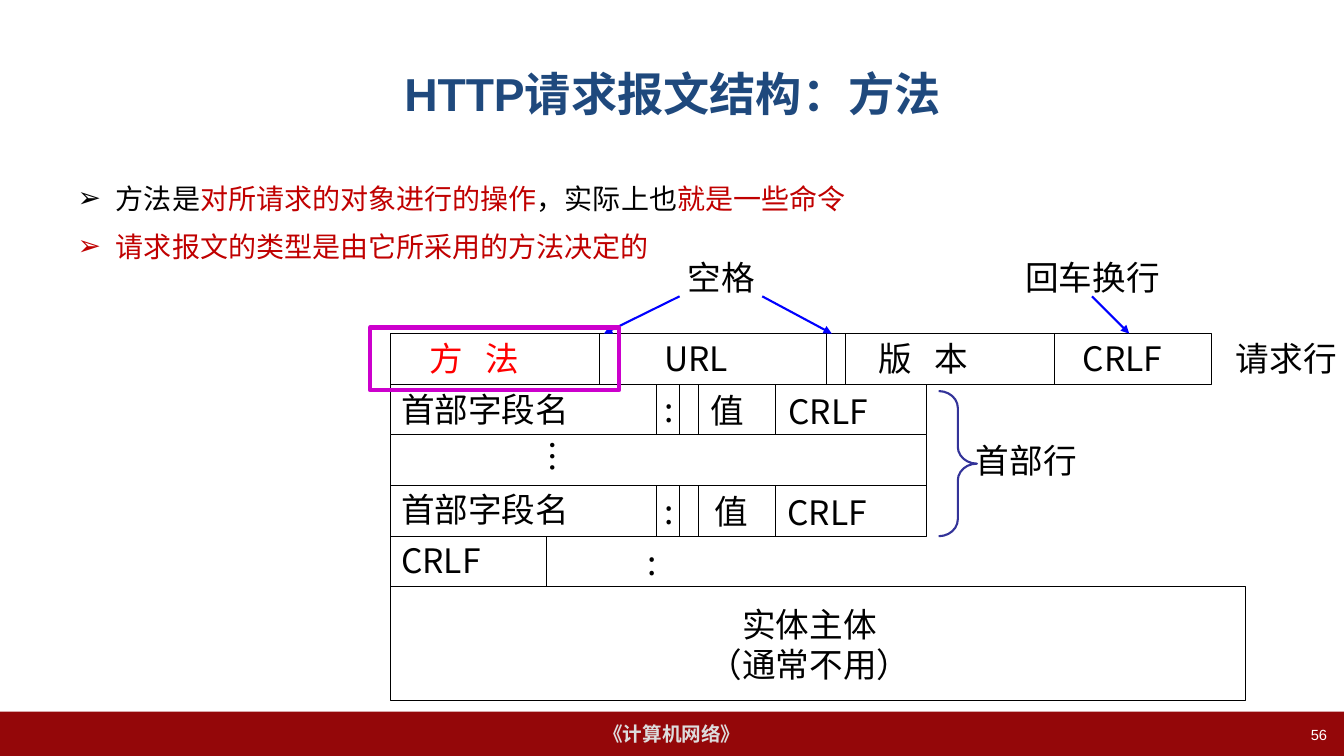
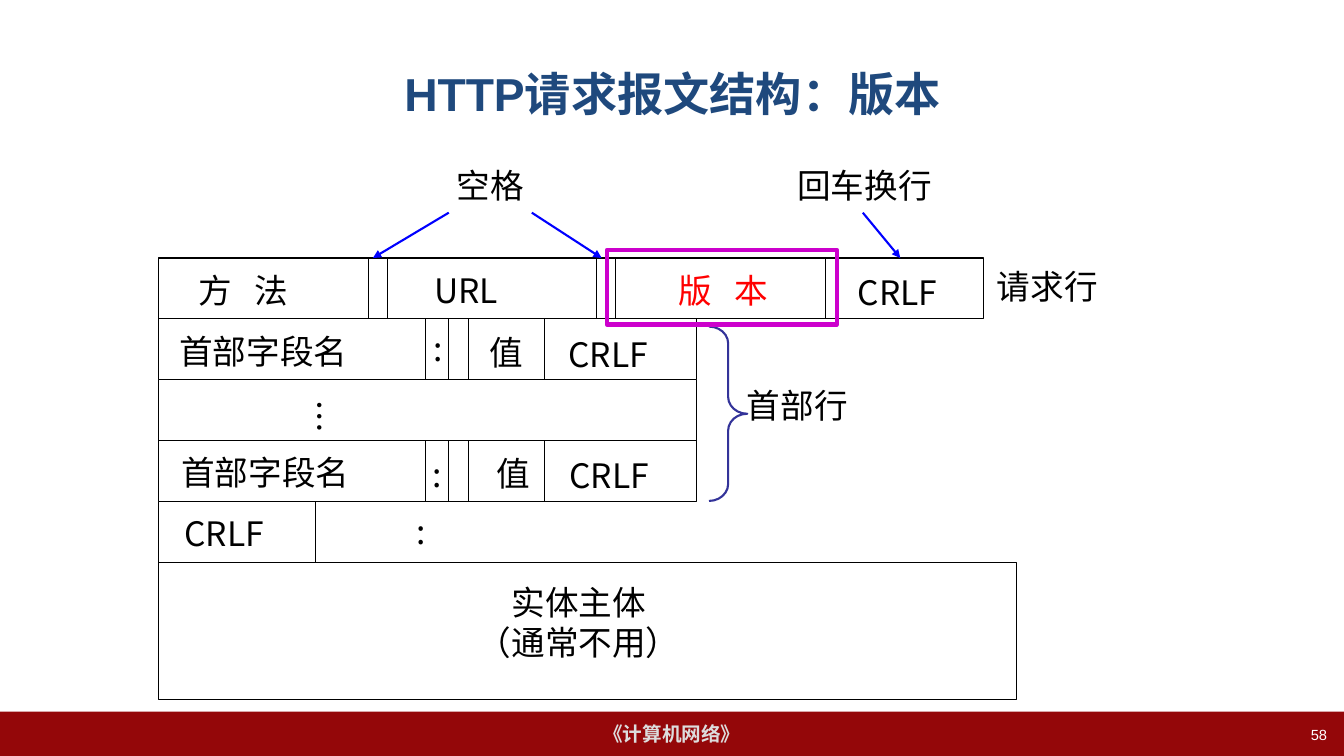
from lxml import etree
from pptx import Presentation
from pptx.dml.color import RGBColor
from pptx.enum.lang import MSO_LANGUAGE_ID as Language
from pptx.enum.shapes import MSO_CONNECTOR as Connector, MSO_SHAPE as Shape
from pptx.enum.text import MSO_ANCHOR as Anchor, MSO_AUTO_SIZE as AutoSize, PP_ALIGN as Align
from pptx.oxml.ns import qn
from pptx.util import Inches, Pt

COLORS = {
    "ink": "000000", "title": "1F497D", "accent": "C00000", "marked": "FF0000",
    "band": "940709", "footer": "DDDDDD", "number": "FFFFFF",
    "arrow": "0000FF", "brace": "333399", "frame": "CC00CC",
}
LATIN, CHINESE = "Arial", "Noto Sans CJK SC"
LINE_RATIO = 1.2
TITLE_ONLY, TITLE_AND_BODY = 5, 1

REQUEST_WIDTH, HEADER_WIDTH, BODY_WIDTH = 8.15, 5.32, 8.48
REQUEST_COLUMNS = (2.08, 2.26, 4.33, 4.52, 6.59)
HEADER_COLUMNS = (2.64, 2.87, 3.06, 3.82)
CRLF_COLUMN = 1.55
ARROWS = ((3.69, 4.38), (2.87, 2.12), (6.96, 7.33))
LABEL_WIDTHS = {
    "方 法": 1.39, "URL": 1.07, "版 本": 1.39, "CRLF": 1.23, "请求行": 1.17,
    "首部字段名": 2.16, ":": 0.43, "值": 0.69, "首部行": 1.42, "…": 0.54,
    "空格": 1.06, "回车换行": 1.79, "实体主体\n（通常不用）": 2.52,
}

METHOD_SLIDE = {
    "topic": "方法", "number": "56", "marked": "方 法",
    "bullets": [
        [("方法是", "ink"), ("对所请求的对象进行的操作", "accent"),
         ("，实际上也", "ink"), ("就是一些命令", "accent")],
        [("请求报文的类型是由它所采用的方法决定的", "accent")],
    ],
    "left": 3.87, "top": 3.31, "row": 0.5025, "scale": 1,
    "body_height": 1.13, "arrow_rise": 0.37, "brace": (0.57, 1.44),
    "frame": (3.67, 3.25, 2.47, 0.62),
    "labels": [
        ("空格", 6.72, 2.5), ("回车换行", 10.07, 2.5),
        ("方 法", 4.16, 3.3), ("URL", 6.49, 3.3), ("版 本", 8.61, 3.3),
        ("CRLF", 10.64, 3.3), ("请求行", 12.16, 3.3),
        ("首部字段名", 3.88, 3.81), (":", 6.49, 3.81), ("值", 6.95, 3.82),
        ("CRLF", 7.72, 3.83), ("首部行", 9.58, 4.32), ("…", 5.19, 4.29),
        ("首部字段名", 3.88, 4.8), (":", 6.49, 4.82), ("值", 6.99, 4.82),
        ("CRLF", 7.71, 4.83), ("CRLF", 3.88, 5.31), (":", 6.32, 5.33),
        ("实体主体\n（通常不用）", 6.72, 5.94),
    ],
}
VERSION_SLIDE = {
    "topic": "版本", "number": "58", "marked": "版 本", "bullets": [],
    "left": 1.57, "top": 2.56, "row": 0.604, "scale": 1.004,
    "body_height": 1.36, "arrow_rise": 0.45, "brace": (0.68, 1.73),
    "frame": (6.02, 2.48, 2.28, 0.74),
    "labels": [
        ("空格", 4.43, 1.59), ("回车换行", 7.81, 1.59),
        ("方 法", 1.87, 2.63), ("URL", 4.21, 2.63), ("版 本", 6.63, 2.63),
        ("CRLF", 8.41, 2.65), ("请求行", 9.79, 2.59),
        ("首部字段名", 1.68, 3.23), (":", 4.2, 3.2), ("值", 4.76, 3.24),
        ("CRLF", 5.54, 3.26), ("首部行", 7.31, 3.77), ("…", 2.88, 3.89),
        ("首部字段名", 1.7, 4.43), (":", 4.19, 4.45), ("值", 4.83, 4.44),
        ("CRLF", 5.55, 4.46), ("CRLF", 1.73, 5.04), (":", 4.03, 5.02),
        ("实体主体\n（通常不用）", 4.43, 5.72),
    ],
}


def color(name):
    return RGBColor.from_string(COLORS[name])


class Deck:
    def __init__(self):
        self.presentation = Presentation()
        self.presentation.slide_width = Inches(13.33)
        self.presentation.slide_height = Inches(7.5)
        self.slide = None
        self.has_band = False

    def start_slide(self, layout):
        self.slide = self.presentation.slides.add_slide(self.presentation.slide_layouts[layout])
        if not self.has_band:
            self.master_band()
            self.has_band = True

    def run(self, paragraph, text, size, ink, latin=CHINESE, bold=False):
        run = paragraph.add_run()
        run.text = text
        font = run.font
        font.size, font.bold, font.name = Pt(size), bold, latin
        font.color.rgb = color(ink)
        font.language_id = Language.SIMPLIFIED_CHINESE
        properties = run._r.get_or_add_rPr()
        etree.SubElement(properties, qn("a:ea")).set("typeface", CHINESE)
        return properties

    def place(self, shape, left, top, width, height):
        shape.left, shape.top = Inches(left), Inches(top)
        shape.width, shape.height = Inches(width), Inches(height)

    def shape(self, kind, box, line=None, weight=0.75, fill=None):
        shape = self.slide.shapes.add_shape(kind, *map(Inches, box))
        shape.shadow.inherit = False
        if fill:
            shape.fill.solid()
            shape.fill.fore_color.rgb = color(fill)
        else:
            shape.fill.background()
        if line:
            shape.line.color.rgb = color(line)
            shape.line.width = Pt(weight)
        else:
            shape.line.fill.background()
        return shape

    def master_band(self):
        band = self.shape(Shape.RECTANGLE, (0, 7.06, 13.33, 0.44), fill="band")
        band.text_frame.vertical_anchor = Anchor.MIDDLE
        paragraph = band.text_frame.paragraphs[0]
        paragraph.alignment = Align.CENTER
        self.run(paragraph, "《计算机网络》", 14, "footer", LATIN, True)
        self.presentation.slide_master.shapes.element.insert(2, band._element)

    def line(self, start, end, ink="ink", weight=0.75, arrow=False):
        connector = self.slide.shapes.add_connector(
            Connector.STRAIGHT, *map(Inches, (*start, *end)))
        connector.line.color.rgb = color(ink)
        connector.line.width = Pt(weight)
        if arrow:
            outline = connector.line._get_or_add_ln()
            etree.SubElement(outline, qn("a:tailEnd")).set("type", "triangle")
        etree.SubElement(connector._element.spPr, qn("a:effectLst"))

    def title(self, topic):
        title = self.slide.shapes.title
        self.place(title, 0.67, 0.3, 12, 1.25)
        title.text_frame.vertical_anchor = Anchor.MIDDLE
        paragraph = title.text_frame.paragraphs[0]
        paragraph.alignment = Align.CENTER
        for text, latin in (("HTTP", LATIN), ("请求", CHINESE), ("报文结构：" + topic, LATIN)):
            self.run(paragraph, text, 33, "title", latin, True)

    def bullets(self, items):
        body = self.slide.placeholders[1]
        self.place(body, 0.67, 1.75, 12, 4.95)
        frame = body.text_frame
        frame.auto_size = AutoSize.NONE
        for index, runs in enumerate(items):
            paragraph = frame.add_paragraph() if index else frame.paragraphs[0]
            paragraph.line_spacing = Pt(20 * LINE_RATIO)
            paragraph.space_before = Pt(10 if index else 0)
            properties = paragraph._p.get_or_add_pPr()
            properties.set("marL", str(Inches(0.38)))
            properties.set("indent", str(Inches(-0.38)))
            etree.SubElement(properties, qn("a:buChar")).set("char", "➢")
            for text, ink in runs:
                self.run(paragraph, text, 20, ink)

    def page_number(self, number):
        box = self.slide.shapes.add_textbox(*map(Inches, (10.15, 7.15, 3.11, 0.35)))
        box.text_frame.word_wrap = True
        paragraph = box.text_frame.paragraphs[0]
        paragraph.alignment = Align.RIGHT
        self.run(paragraph, number, 10.5, "number", LATIN)

    def label(self, text, left, top, ink):
        lines = text.split("\n")
        box = self.slide.shapes.add_textbox(
            *map(Inches, (left, top, LABEL_WIDTHS[text], 0.47 * len(lines))))
        box.rotation = 270 if text == "…" else 0
        frame = box.text_frame
        frame.word_wrap = True
        frame.margin_right = 0
        for index, content in enumerate(lines):
            paragraph = frame.add_paragraph() if index else frame.paragraphs[0]
            paragraph.alignment = Align.CENTER if len(lines) > 1 else Align.LEFT
            paragraph.line_spacing = Pt(24 * LINE_RATIO)
            properties = self.run(paragraph, content, 24, ink)
            if " " in content:
                properties.set("spc", "540")

    def message(self, left, top, row, scale, body_height, arrow_rise, brace):
        def across(offset):
            return left + offset * scale

        def down(index):
            return top + index * row

        def divider(offset, index):
            self.line((across(offset), down(index)), (across(offset), down(index + 1)))

        for index, width, height in ((0, REQUEST_WIDTH, row), (1, HEADER_WIDTH, row),
                                     (3, HEADER_WIDTH, row), (5, BODY_WIDTH, body_height)):
            self.shape(Shape.RECTANGLE, (left, down(index), width * scale, height), "ink")
        row_dividers = (REQUEST_COLUMNS, HEADER_COLUMNS, (0, HEADER_WIDTH),
                        HEADER_COLUMNS, (0, CRLF_COLUMN))
        for index, offsets in enumerate(row_dividers):
            for offset in offsets:
                divider(offset, index)
        for start, end in ARROWS:
            self.line((across(start), top - arrow_rise), (across(end), top), "arrow", 1.5, True)
        brace_drop, brace_height = brace
        brace_shape = self.shape(
            Shape.RIGHT_BRACE, (across(5.44), top + brace_drop, 0.38, brace_height), "brace", 1.5)
        brace_shape.adjustments[0] = 0.44
        brace_shape.adjustments[1] = 0.5

    def build(self, content):
        self.start_slide(TITLE_AND_BODY if content["bullets"] else TITLE_ONLY)
        self.title(content["topic"])
        if content["bullets"]:
            self.bullets(content["bullets"])
        geometry = ("left", "top", "row", "scale", "body_height", "arrow_rise", "brace")
        self.message(*(content[name] for name in geometry))
        for text, left, top in content["labels"]:
            self.label(text, left, top, "marked" if text == content["marked"] else "ink")
        self.shape(Shape.RECTANGLE, content["frame"], "frame", 3)
        self.page_number(content["number"])


def main():
    deck = Deck()
    for content in (METHOD_SLIDE, VERSION_SLIDE):
        deck.build(content)
    deck.presentation.save("out.pptx")


if __name__ == "__main__":
    main()
